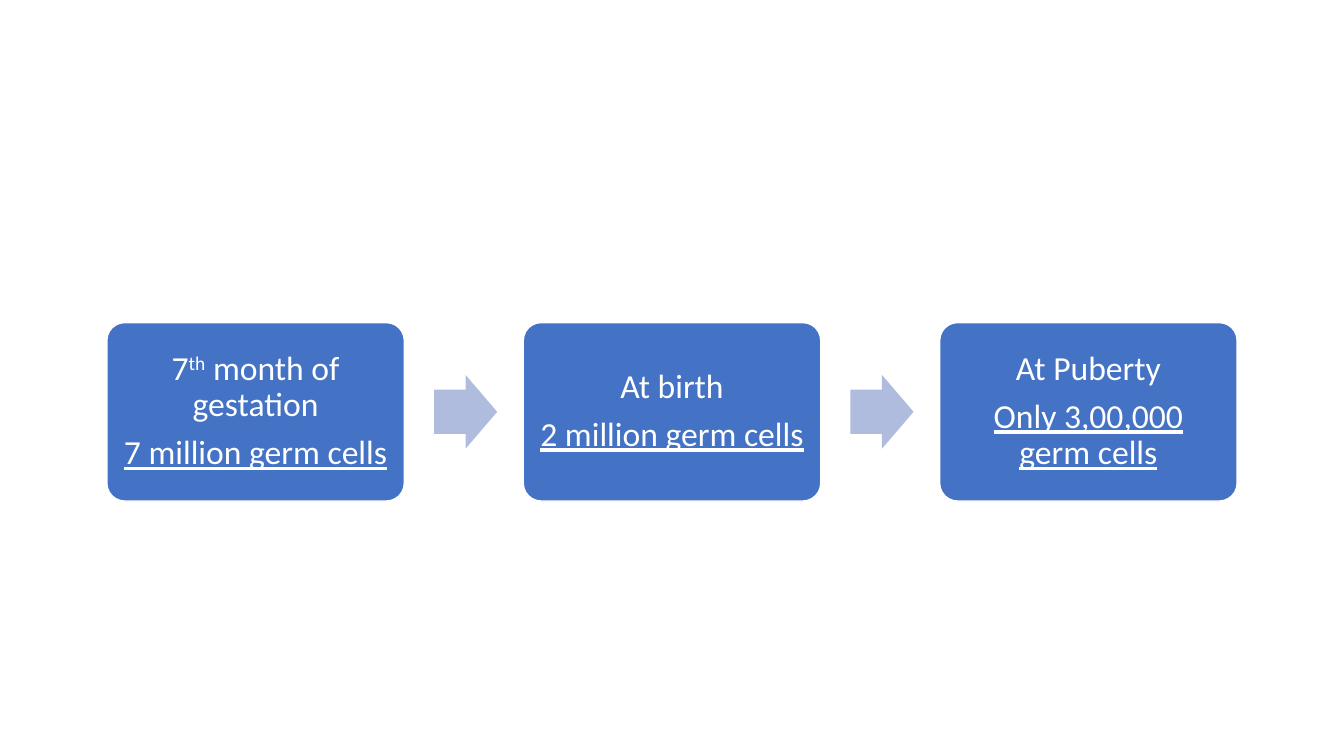
from dataclasses import dataclass

from pptx import Presentation
from pptx.dml.color import RGBColor
from pptx.enum.shapes import MSO_SHAPE as Shape
from pptx.enum.text import MSO_ANCHOR as Anchor, PP_ALIGN as Align
from pptx.shapes.autoshape import Shape as AutoShape
from pptx.slide import Slide
from pptx.util import Inches, Pt

SLIDE_WIDTH, SLIDE_HEIGHT = Inches(13.33), Inches(7.5)
COLUMN = Inches(2.95) / 10
BOX_COLUMNS, BOX_ROWS = 10, 6
STAGE_PITCH = 14
ARROW_COLUMNS, ARROW_ROWS = 2.12, 2.48
ARROW_GAP = 1
STAGE_TOP = 10.85
FONT_SIZE = 24


@dataclass(frozen=True)
class Span:
    text: str
    underline: bool = False
    superscript: bool = False


@dataclass(frozen=True)
class Stage:
    moment: tuple[Span, ...]
    count: str


STAGES = (
    Stage((Span("7"), Span("th", superscript=True), Span(" month of gestation")),
          "7 million germ cells"),
    Stage((Span("At birth"),), "2 million germ cells"),
    Stage((Span("At Puberty"),), "Only 3,00,000 germ cells"),
)


def colour(hex_value: str) -> RGBColor:
    return RGBColor.from_string(hex_value)


def add_block(page: Slide, kind: Shape, left: float, top: float,
              columns: float, rows: float, fill: str) -> AutoShape:
    lengths = (round(cells * COLUMN) for cells in (left, top, columns, rows))
    block = page.shapes.add_shape(kind, *lengths)
    block.shadow.inherit = False
    block.fill.solid()
    block.fill.fore_color.rgb = colour(fill)
    block.line.fill.background()
    return block


def add_paragraph(box: AutoShape, spans: tuple[Span, ...], first: bool) -> None:
    frame = box.text_frame
    para = frame.paragraphs[0] if first else frame.add_paragraph()
    para.alignment = Align.CENTER
    para.line_spacing = 0.9
    para.space_after = Pt(FONT_SIZE * 0.35)
    for span in spans:
        run = para.add_run()
        run.text = span.text
        run.font.name = "Calibri"
        run.font.size = Pt(FONT_SIZE)
        run.font.color.rgb = colour("FFFFFF")
        if span.underline:
            run.font.underline = True
        if span.superscript:
            run._r.get_or_add_rPr().set("baseline", "30000")


def add_stage(page: Slide, stage: Stage, left: float) -> None:
    box = add_block(page, Shape.ROUNDED_RECTANGLE, left, STAGE_TOP,
                    BOX_COLUMNS, BOX_ROWS, "4472C4")
    box.adjustments[0] = 0.1
    box.line.color.rgb = colour("FFFFFF")
    box.line.width = Pt(1)
    frame = box.text_frame
    frame.word_wrap = True
    frame.vertical_anchor = Anchor.MIDDLE
    frame.margin_left = frame.margin_right = Inches(0.1)
    frame.margin_top = frame.margin_bottom = Inches(0.1)
    add_paragraph(box, stage.moment, first=True)
    add_paragraph(box, (Span(stage.count, underline=True),), first=False)


def add_arrow(page: Slide, left: float) -> None:
    top = STAGE_TOP + (BOX_ROWS - ARROW_ROWS) / 2
    arrow = add_block(page, Shape.RIGHT_ARROW, left, top,
                      ARROW_COLUMNS, ARROW_ROWS, "B0BCDE")
    arrow.adjustments[0] = 0.6
    arrow.adjustments[1] = 0.5


def main() -> None:
    deck = Presentation()
    deck.slide_width, deck.slide_height = SLIDE_WIDTH, SLIDE_HEIGHT
    page = deck.slides.add_slide(deck.slide_layouts[6])
    chain_columns = STAGE_PITCH * (len(STAGES) - 1) + BOX_COLUMNS
    margin = (SLIDE_WIDTH / COLUMN - chain_columns) / 2
    for index, stage in enumerate(STAGES):
        left = margin + index * STAGE_PITCH
        if index > 0:
            add_arrow(page, left - STAGE_PITCH + BOX_COLUMNS + ARROW_GAP)
        add_stage(page, stage, left)
    deck.save("out.pptx")


if __name__ == "__main__":
    main()
